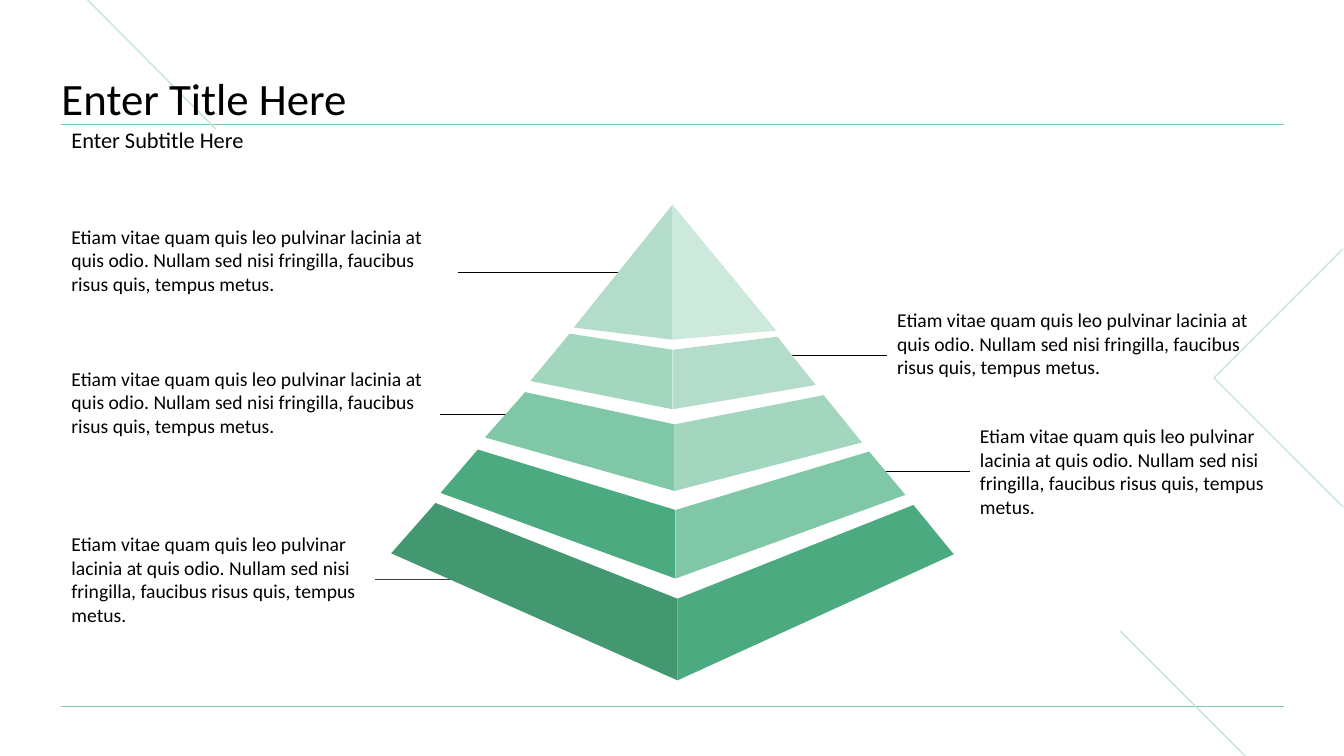
import pptx
import pptx.util
import pptx.dml.color
import pptx.enum.shapes
import pptx.enum.text
import lxml.etree

Inches = pptx.util.Inches
Pt = pptx.util.Pt

COLORS = {
    "text": "000000", "base_leader": "3F3F3F", "rule": "80C7A7", "accent": "C6E6D7",
    "palest": "CCE9DC", "pale": "B3DDCA", "light": "A2D6BE",
    "medium": "80C7A7", "strong": "4BAA7F", "deep": "439771",
}
FONT = "Calibri"
MARGIN, CONTENT_WIDTH = 0.61, 12.12
RIGHT_EDGE = MARGIN + CONTENT_WIDTH

TITLE = "Enter Title Here"
SUBTITLE = "Enter Subtitle Here"
CAPTION = ("Etiam vitae quam quis leo pulvinar lacinia at quis odio. "
           "Nullam sed nisi fringilla, faucibus risus quis, tempus metus.")
CAPTION_HEIGHT = 1.04

RULES = [7.01, 1.23]
DIAGONALS = [((11.11, 6.26), (12.35, 7.5)), ((0.87, 0), (2.14, 1.28))]
CHEVRON = [(13.32, 2.47), (12.04, 3.75), (13.32, 5.03)]

CALLOUTS = [
    {"side": "left", "top": 2.18, "width": 3.93, "tip": 6.42, "color": "text"},
    {"side": "left", "top": 3.59, "width": 3.75, "tip": 5.21, "color": "text"},
    {"side": "left", "top": 5.23, "width": 3.11, "tip": 5.12, "color": "base_leader"},
    {"side": "right", "top": 3.01, "width": 3.93, "tip": 7.71, "color": "text"},
    {"side": "right", "top": 4.16, "width": 3.11, "tip": 8.45, "color": "text"},
]

TIERS = [
    {"ridge": [(6.72, 5.94), (6.72, 6.75)],
     "left": [(4.32, 4.99), (3.88, 5.49)], "right": [(9.06, 5.01), (9.46, 5.5)],
     "fills": ("deep", "strong")},
    {"ridge": [(6.7, 5.06), (6.7, 5.74)],
     "left": [(4.74, 4.46), (4.37, 4.89)], "right": [(8.62, 4.48), (8.98, 4.91)],
     "fills": ("strong", "medium")},
    {"ridge": [(6.69, 4.21), (6.69, 4.87)],
     "left": [(5.21, 3.89), (4.81, 4.34)], "right": [(8.17, 3.92), (8.55, 4.39)],
     "fills": ("medium", "light")},
    {"ridge": [(6.67, 3.47), (6.67, 4.06)],
     "left": [(5.65, 3.31), (5.26, 3.78)], "right": [(7.71, 3.34), (8.09, 3.82)],
     "fills": ("light", "pale")},
    {"ridge": [(6.67, 2.03), (6.67, 3.37)],
     "left": [(5.69, 3.25)], "right": [(7.7, 3.28)],
     "fills": ("pale", "palest")},
]


def rgb(name):
    return pptx.dml.color.RGBColor.from_string(COLORS[name])


def add_line(slide, start, end, color, weight):
    line = slide.shapes.add_connector(
        pptx.enum.shapes.MSO_CONNECTOR.STRAIGHT,
        *(Inches(value) for value in (*start, *end)))
    line.line.color.rgb = rgb(color)
    line.line.width = Pt(weight)
    lxml.etree.SubElement(line._element.spPr, pptx.oxml.ns.qn("a:effectLst"))
    return line


def add_outline(slide, points, closed):
    corners = [(Inches(x), Inches(y)) for x, y in points]
    builder = slide.shapes.build_freeform(*corners[0], scale=1.0)
    builder.add_line_segments(corners[1:], close=closed)
    outline = builder.convert_to_shape()
    outline.shadow.inherit = False
    return outline


def add_text(slide, text, box, size, anchor="TOP", spacing=1.0):
    textbox = slide.shapes.add_textbox(*(Inches(value) for value in box))
    frame = textbox.text_frame
    frame.word_wrap = True
    frame.vertical_anchor = pptx.enum.text.MSO_ANCHOR[anchor]
    frame.text = text
    paragraph = frame.paragraphs[0]
    paragraph.line_spacing = spacing
    font = paragraph.runs[0].font
    font.name, font.size = FONT, Pt(size)
    font.color.rgb = rgb("text")
    return textbox


def add_callout(slide, callout):
    on_left = callout["side"] == "left"
    top, width = callout["top"], callout["width"]
    left = MARGIN if on_left else RIGHT_EDGE - width
    caption = add_text(slide, CAPTION, (left, top, width, CAPTION_HEIGHT), 14)
    edge = left + width if on_left else left
    middle = top + CAPTION_HEIGHT / 2
    leader = add_line(slide, (edge, middle), (callout["tip"], middle), callout["color"], 0.5)
    leader.begin_connect(caption, 3 if on_left else 1)


def add_tier(slide, tier):
    ridge_top, ridge_bottom = tier["ridge"]
    for side, fill in zip(("left", "right"), tier["fills"]):
        face = add_outline(slide, [ridge_top, *tier[side], ridge_bottom], True)
        face.fill.solid()
        face.fill.fore_color.rgb = rgb(fill)
        face.line.fill.background()


def main():
    deck = pptx.Presentation()
    deck.slide_width, deck.slide_height = Inches(13.33), Inches(7.5)
    slide = deck.slides.add_slide(deck.slide_layouts[6])

    for height in RULES:
        add_line(slide, (MARGIN, height), (RIGHT_EDGE, height), "rule", 0.5)
    for start, end in DIAGONALS:
        add_line(slide, start, end, "accent", 1)
    chevron = add_outline(slide, CHEVRON, False)
    chevron.fill.background()
    chevron.line.color.rgb = rgb("accent")
    chevron.line.width = Pt(1)

    title = add_text(slide, TITLE, (MARGIN, 0.44, CONTENT_WIDTH, 0.8), 32, "BOTTOM", 0.9)
    frame = title.text_frame
    frame.margin_left = frame.margin_right = frame.margin_top = frame.margin_bottom = 0
    add_text(slide, SUBTITLE, (MARGIN, 1.23, CONTENT_WIDTH, 0.34), 16, "MIDDLE", 0.9)

    for callout in CALLOUTS:
        add_callout(slide, callout)
    for tier in TIERS:
        add_tier(slide, tier)

    deck.save("out.pptx")


if __name__ == "__main__":
    main()
